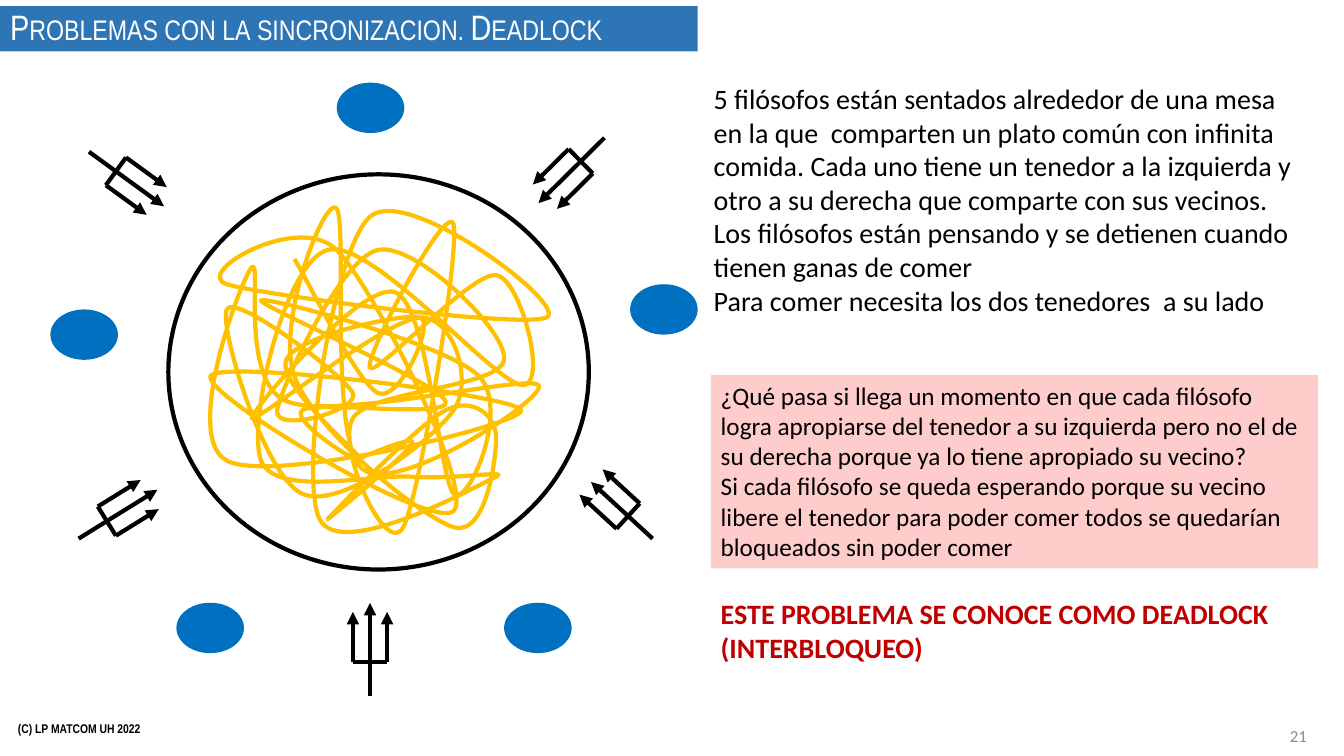
from dataclasses import dataclass
from math import cos, radians, sin

from lxml.etree import SubElement
from pptx import Presentation
from pptx.dml.color import RGBColor
from pptx.enum.shapes import MSO_CONNECTOR, MSO_SHAPE
from pptx.enum.text import MSO_ANCHOR, MSO_AUTO_SIZE, PP_ALIGN
from pptx.oxml.ns import qn
from pptx.util import Pt


@dataclass(frozen=True)
class Theme:
    black: RGBColor = RGBColor.from_string("000000")
    white: RGBColor = RGBColor.from_string("FFFFFF")
    banner: RGBColor = RGBColor.from_string("2E75B6")
    philosopher: RGBColor = RGBColor.from_string("0070C0")
    spaghetti: RGBColor = RGBColor.from_string("FFC000")
    warning: RGBColor = RGBColor.from_string("FF0000")
    conclusion: RGBColor = RGBColor.from_string("C00000")
    muted: RGBColor = RGBColor.from_string("8C8C8C")
    narrow: str = "Arial Narrow"
    body: str = "Calibri"
    title_size: float = 25.2
    large: int = 20
    medium: int = 18
    number: int = 12
    footer: int = 9
    stroke: int = 3


theme = Theme()
PX = 9144

deck = Presentation()
deck.slide_width = 1333 * PX
deck.slide_height = 750 * PX
page = deck.slides.add_slide(deck.slide_layouts.get_by_name("Title Only"))


def add_text(left, top, width, height, paragraphs, size, color,
             font=theme.body, bold=False, align=PP_ALIGN.LEFT,
             anchor=MSO_ANCHOR.TOP, fill=None, opacity=100):
    box = page.shapes.add_textbox(left * PX, top * PX, width * PX, height * PX)
    frame = box.text_frame
    frame.word_wrap = True
    frame.vertical_anchor = anchor
    frame.text = "\n".join(paragraphs)
    for para in frame.paragraphs:
        para.alignment = align
        para.font.name = font
        para.font.size = Pt(size)
        para.font.bold = bold
        para.font.color.rgb = color
    if fill is not None:
        frame.auto_size = MSO_AUTO_SIZE.SHAPE_TO_FIT_TEXT
        box.fill.solid()
        box.fill.fore_color.rgb = fill
        tint = box.element.spPr.find(qn("a:solidFill"))[0]
        SubElement(tint, qn("a:alpha"), val=str(opacity * 1000))


def add_ellipse(left, top, width, height, fill):
    ellipse = page.shapes.add_shape(
        MSO_SHAPE.OVAL, left * PX, top * PX, width * PX, height * PX)
    ellipse.shadow.inherit = False
    ellipse.fill.solid()
    ellipse.fill.fore_color.rgb = fill
    ellipse.line.fill.background()
    return ellipse


title = page.shapes.title
title.left, title.top, title.width, title.height = 0, 6 * PX, 692 * PX, 45 * PX
title.fill.solid()
title.fill.fore_color.rgb = theme.banner
title.text_frame.text = "Problemas con la sincronizacion. Deadlock"
title.text_frame.auto_size = MSO_AUTO_SIZE.NONE
title.text_frame.vertical_anchor = MSO_ANCHOR.MIDDLE
para = title.text_frame.paragraphs[0]
para.alignment = PP_ALIGN.LEFT
para.line_spacing = 0.9
para.font.name = theme.narrow
para.font.size = Pt(theme.title_size)
para.font.color.rgb = theme.white
para.runs[0].font._element.set("cap", "small")

add_text(8, 703, 450, 40, ["(C) LP MATCOM UH 2022"], theme.footer, theme.black,
         font=theme.narrow, bold=True, anchor=MSO_ANCHOR.MIDDLE)
add_text(1006, 710, 300, 40, ["21"], theme.number, theme.muted,
         align=PP_ALIGN.RIGHT, anchor=MSO_ANCHOR.MIDDLE)

table = add_ellipse(167, 173, 417, 392, theme.white)
table.line.color.rgb = theme.black
table.line.width = Pt(theme.stroke)
for left, top in [(175, 598), (500, 598), (625, 282), (334, 82), (50, 307)]:
    add_ellipse(left, top, 67, 50, theme.philosopher)

forks = [
    (367, 657, -90, 59),
    (623, 512, -137.4, 50),
    (106, 517, -31.8, 59),
    (115, 170, 36, 59),
    (576, 160, 135.3, 59),
]
for center_x, center_y, angle, middle_prong in forks:
    fork = page.shapes.add_group_shape()
    along_x, along_y = cos(radians(angle)), sin(radians(angle))
    strokes = [
        ((0, -17), (50, -17), True),
        ((0, 0), (middle_prong, 0), True),
        ((0, 17), (50, 17), True),
        ((0, -17), (0, 17), False),
        ((0, 0), (-33, 0), False),
    ]
    for start, end, pointed in strokes:
        ends = []
        for along, across in (start, end):
            ends.append(round((center_x + along * along_x - across * along_y) * PX))
            ends.append(round((center_y + along * along_y + across * along_x) * PX))
        stroke = fork.shapes.add_connector(MSO_CONNECTOR.STRAIGHT, *ends)
        stroke.line.color.rgb = theme.black
        stroke.line.width = Pt(theme.stroke)
        if pointed:
            SubElement(stroke.line._get_or_add_ln(), qn("a:tailEnd"), type="triangle")
        SubElement(stroke.element.spPr, qn("a:effectLst"))

knots = [
    (292, 257), (375, 390), (417, 315), (284, 357), (359, 457), (300, 407),
    (442, 398), (259, 298), (475, 373), (450, 490), (392, 290), (250, 415),
    (417, 315), (450, 407), (300, 490), (225, 307), (350, 390), (275, 407),
    (375, 248), (500, 357), (350, 415), (400, 523), (450, 223), (367, 365),
    (492, 273), (517, 382), (325, 248), (259, 457), (409, 473), (492, 473),
    (317, 515), (367, 215), (542, 315), (225, 282), (334, 248), (450, 507),
    (209, 373), (517, 407), (225, 457), (250, 265), (284, 398), (534, 382),
    (359, 465), (334, 207), (292, 373), (450, 523), (492, 432), (442, 407),
    (325, 515), (409, 440), (350, 457),
]
padded = [knots[0], *knots, knots[-1]]
controls = []
for before, start, end, after in zip(padded, padded[1:], padded[2:], padded[3:]):
    controls.append([s + (e - b) / 6 for b, s, e in zip(before, start, end)])
    controls.append([e - (a - s) / 6 for s, e, a in zip(start, end, after)])
    controls.append(end)

builder = page.shapes.build_freeform(*knots[0], scale=PX)
builder.add_line_segments(controls, close=False)
spaghetti = builder.convert_to_shape()
spaghetti.shadow.inherit = False
spaghetti.fill.background()
spaghetti.line.color.rgb = theme.spaghetti
spaghetti.line.width = Pt(theme.stroke)
outline = next(spaghetti.element.iter(qn("a:path")))
segments = outline.findall(qn("a:lnTo"))
for first in range(0, len(segments), 3):
    curve = SubElement(outline, qn("a:cubicBezTo"))
    for segment in segments[first:first + 3]:
        curve.append(segment[0])
        outline.remove(segment)

add_text(698, 76, 602, 246, [
    "5 filósofos están sentados alrededor de una mesa en la que  comparten un plato "
    "común con infinita comida. Cada uno tiene un tenedor a la izquierda y otro a su "
    "derecha que comparte con sus vecinos.",
    "Los filósofos están pensando y se detienen cuando tienen ganas de comer",
    "Para comer necesita los dos tenedores  a su lado",
], theme.large, theme.black, fill=theme.white, opacity=50)
add_text(705, 372, 602, 192, [
    "¿Qué pasa si llega un momento en que cada filósofo logra apropiarse del tenedor "
    "a su izquierda pero no el de su derecha porque ya lo tiene apropiado su vecino?",
    "Si cada filósofo se queda esperando porque su vecino libere el tenedor para poder "
    "comer todos se quedarían bloqueados sin poder comer",
], theme.medium, theme.black, fill=theme.warning, opacity=20)
add_text(705, 587, 602, 77, ["ESTE PROBLEMA SE CONOCE COMO DEADLOCK (INTERBLOQUEO)"],
         theme.large, theme.conclusion, bold=True, fill=theme.white, opacity=50)

deck.save("out.pptx")
